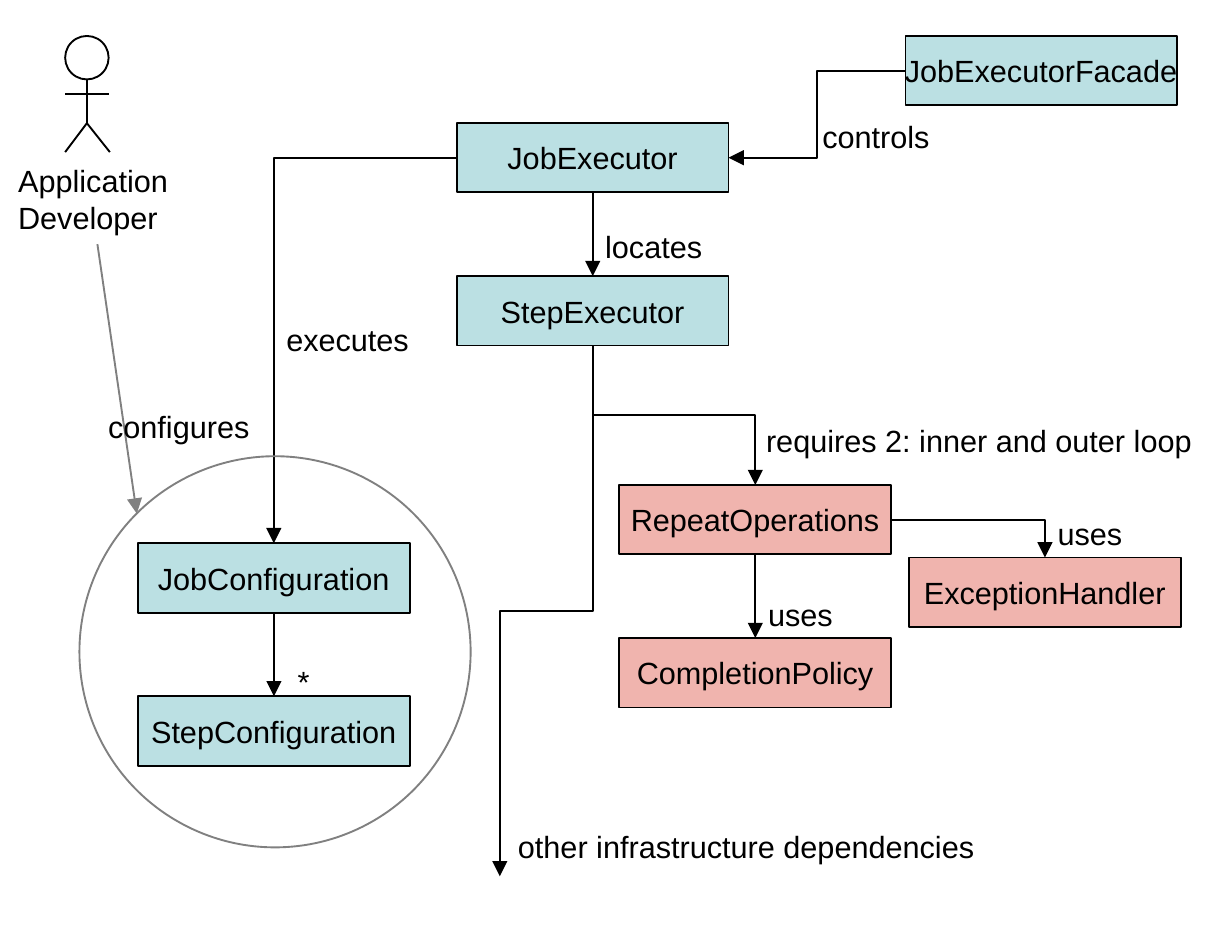
from dataclasses import dataclass

from lxml import etree
from pptx import Presentation
from pptx import util as u
from pptx.dml.color import RGBColor
from pptx.enum import shapes, text
from pptx.oxml.ns import qn

Pt = u.Pt


@dataclass(frozen=True)
class Theme:
    core: RGBColor = RGBColor(0xBB, 0xE0, 0xE3)
    repeat: RGBColor = RGBColor(0xF0, 0xB4, 0xAE)
    ink: RGBColor = RGBColor(0, 0, 0)
    grey: RGBColor = RGBColor(0x80, 0x80, 0x80)
    font: str = "Arial"
    size: float = 12
    stroke: float = 0.75


THEME = Theme()
BOX_W, BOX_H = 106.3, 27.2
TOP, LEFT, BOTTOM, RIGHT = range(4)


def write(shape, wording, align=text.PP_ALIGN.LEFT, anchor=text.MSO_ANCHOR.TOP,
          inset=(7.2, 3.6), color=THEME.ink):
    """Fill a shape with one paragraph per line of wording."""
    frame = shape.text_frame
    frame.word_wrap = False
    frame.vertical_anchor = anchor
    frame.margin_left = frame.margin_right = Pt(inset[0])
    frame.margin_top = frame.margin_bottom = Pt(inset[1])
    frame.text = wording
    for paragraph in frame.paragraphs:
        paragraph.alignment = align
        paragraph.font.name = THEME.font
        paragraph.font.size = Pt(THEME.size)
        paragraph.font.color.rgb = color


def outlined(slide, kind, left, top, width, height, color=THEME.ink, fill=None):
    shape = slide.shapes.add_shape(kind, Pt(left), Pt(top), Pt(width), Pt(height))
    shape.shadow.inherit = False
    if fill is None:
        shape.fill.background()
    else:
        shape.fill.solid()
        shape.fill.fore_color.rgb = fill
    shape.line.color.rgb = color
    shape.line.width = Pt(THEME.stroke)
    return shape


def class_box(slide, name, left, top, fill=THEME.core):
    box = outlined(slide, shapes.MSO_SHAPE.RECTANGLE, left, top, BOX_W, BOX_H, fill=fill)
    write(box, name, align=text.PP_ALIGN.CENTER, anchor=text.MSO_ANCHOR.MIDDLE,
          inset=(5, 2.2))
    return box


def label(slide, wording, left, top, width, height=21.6):
    note = slide.shapes.add_textbox(Pt(left), Pt(top), Pt(width), Pt(height))
    write(note, wording)
    note.text_frame.auto_size = text.MSO_AUTO_SIZE.SHAPE_TO_FIT_TEXT


def side(box, index):
    """Middle of a side of a box."""
    across = {LEFT: 0, RIGHT: box.width}.get(index, box.width // 2)
    down = {TOP: 0, BOTTOM: box.height}.get(index, box.height // 2)
    return box.left + across, box.top + down


def line(slide, start, end, kind=shapes.MSO_CONNECTOR.STRAIGHT, color=THEME.ink, arrow=True):
    link = slide.shapes.add_connector(kind, *start, *end)
    link.line.color.rgb = color
    link.line.width = Pt(THEME.stroke)
    properties = link._element.spPr
    if arrow:
        etree.SubElement(properties.find(qn("a:ln")), qn("a:tailEnd"), type="triangle")
    etree.SubElement(properties, qn("a:effectLst"))
    return link


def arrow_down(slide, upper, lower):
    link = line(slide, side(upper, BOTTOM), side(lower, TOP))
    link.begin_connect(upper, BOTTOM)
    link.end_connect(lower, TOP)


def elbow(slide, start, end, bends=2):
    """Bent arrow that leaves sideways."""
    link = line(slide, start, end, shapes.MSO_CONNECTOR.ELBOW)
    geometry = link._element.spPr.find(qn("a:prstGeom"))
    geometry.set("prst", f"bentConnector{bends + 1}")
    return link


def elbow_down(slide, start, end):
    """Bent arrow that leaves downwards: a sideways one, turned a quarter."""
    (x1, y1), (x2, y2) = start, end
    turn = 1 if x2 < x1 else -1
    middle_x, middle_y = (x1 + x2) // 2, (y1 + y2) // 2
    half_x, half_y = turn * (y2 - y1) // 2, turn * (x2 - x1) // 2
    link = elbow(slide, (middle_x - half_x, middle_y + half_y),
                 (middle_x + half_x, middle_y - half_y))
    frame = link._element.spPr.find(qn("a:xfrm"))
    frame.set("rot", str(turn * 90 % 360 * 60000))


def developer(slide):
    head = outlined(slide, shapes.MSO_SHAPE.OVAL, 25.5, 14.1, 17, 17)
    neck = side(head, BOTTOM)
    hip = neck[0], Pt(48.2)
    limbs = [
        (neck, hip),
        (hip, (Pt(43), Pt(59.5))),
        (hip, (Pt(25.5), Pt(59.5))),
        ((Pt(25.5), Pt(36.8)), (Pt(42.5), Pt(36.8))),
    ]
    for start, end in limbs:
        line(slide, start, end, arrow=False)


def main():
    deck = Presentation()
    deck.slide_width, deck.slide_height = Pt(481.89), Pt(368.5)
    slide = deck.slides.add_slide(deck.slide_layouts[6])

    # Classes
    job_config = class_box(slide, "JobConfiguration", 54, 212.5)
    step_config = class_box(slide, "StepConfiguration", 54, 272.4)
    job_executor = class_box(slide, "JobExecutor", 178.7, 48.1)
    step_executor = class_box(slide, "StepExecutor", 178.7, 108)
    facade = class_box(slide, "JobExecutorFacade", 354.2, 14.1)
    repeat = class_box(slide, "RepeatOperations", 242.3, 189.7, THEME.repeat)
    policy = class_box(slide, "CompletionPolicy", 242.3, 249.6, THEME.repeat)
    handler = class_box(slide, "ExceptionHandler", 355.6, 218.1, THEME.repeat)

    # Arrows between classes
    for upper, lower in [(job_config, step_config), (job_executor, step_executor),
                         (repeat, policy)]:
        arrow_down(slide, upper, lower)
    elbow(slide, side(facade, LEFT), side(job_executor, RIGHT))
    elbow(slide, side(job_executor, LEFT), side(job_config, TOP), bends=1)
    elbow(slide, side(repeat, RIGHT), side(handler, TOP), bends=1)
    elbow_down(slide, side(step_executor, BOTTOM), side(repeat, TOP))
    elbow_down(slide, side(step_executor, BOTTOM), (Pt(195.5), Pt(342.8)))

    # Developer and the configuration they write
    outlined(slide, shapes.MSO_SHAPE.OVAL, 31.1, 178.5, 153, 153, color=THEME.grey)
    developer(slide)
    line(slide, (Pt(38.1), Pt(95.5)), (Pt(53.5), Pt(200.9)), color=THEME.grey)

    # Labels
    label(slide, "Application\nDeveloper", 0, 59.7, 76.5, 36)
    for wording, left, top, width in [
        ("configures", 35.2, 155.9, 71),
        ("executes", 104.9, 122, 64),
        ("*", 109.4, 255.6, 20),
        ("locates", 229.6, 85.6, 54),
        ("controls", 314.6, 42.6, 58),
        ("requires 2: inner and outer loop", 292.6, 161.6, 183),
        ("uses", 293.4, 229.6, 41),
        ("uses", 406.6, 198, 41),
        ("other infrastructure dependencies", 195.5, 320.2, 195),
    ]:
        label(slide, wording, left, top, width)

    deck.save("out.pptx")


if __name__ == "__main__":
    main()
